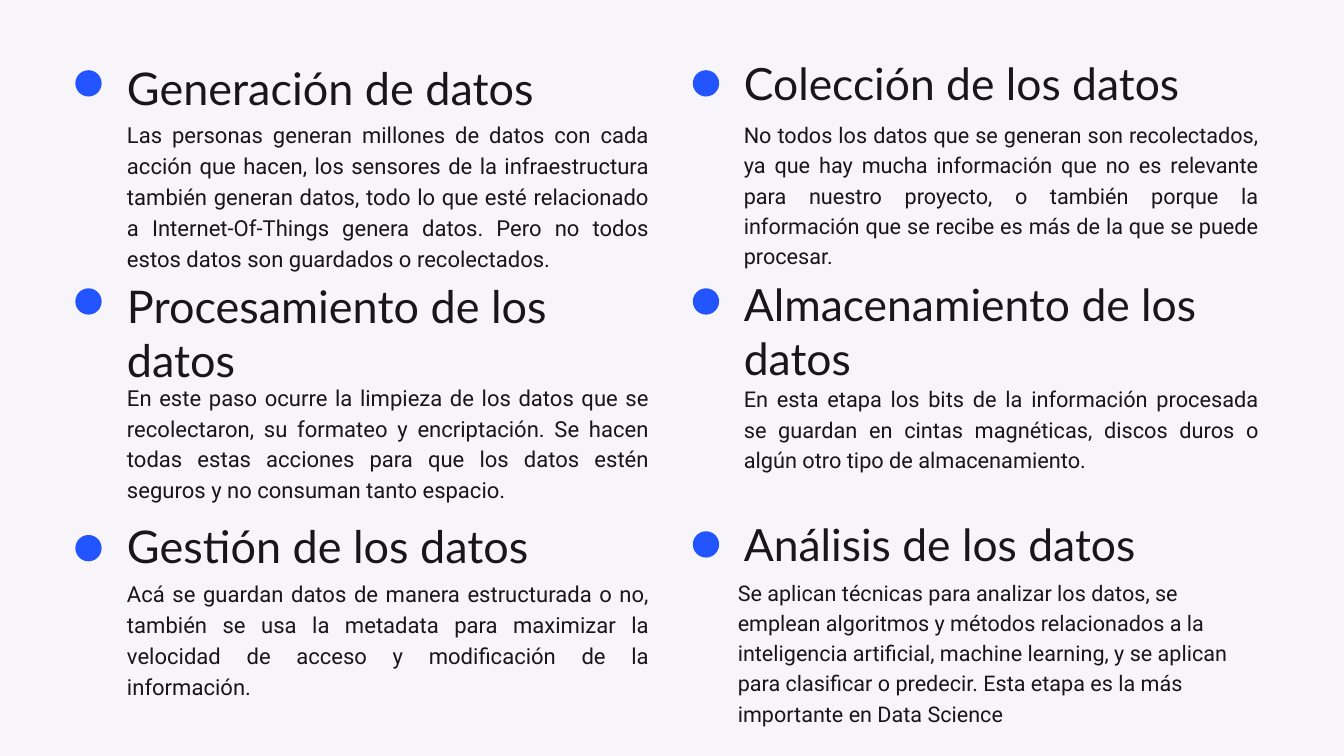
from dataclasses import dataclass

import pptx
import pptx.dml.color
import pptx.enum.shapes
import pptx.enum.text
import pptx.util

Pt = pptx.util.Pt
ALIGN = pptx.enum.text.PP_ALIGN

BACKGROUND = "F7F4FA"
INK = "17161C"
BLUE = "2255FF"
DOT_SIZE = 28.2


@dataclass
class Style:
    font: str
    size: float
    leading: float
    align: ALIGN = ALIGN.LEFT


@dataclass
class Column:
    dot_left: float
    text_left: float
    heading_width: float
    body_width: float
    heading_style: Style


@dataclass
class Stage:
    """One step of the data cycle; tops and heights in points."""
    column: Column
    dot_top: float
    heading_top: float
    heading_height: float
    body_top: float
    body_height: float
    body_style: Style
    heading: str
    body: str
    body_shift: float = 0


LEFT = Column(80.7, 136.1, 545, 559.4, Style("Lato", 48.2, 57.8))
RIGHT = Column(742.3, 797, 538.6, 551.5, Style("Lato", 47.6, 57.1))


def body_style(size: float, leading: float, align: ALIGN = ALIGN.JUSTIFY) -> Style:
    return Style("Roboto", size, leading, align)


STAGES = [
    Stage(LEFT, 75.2, 64.8, 57.6, 126, 162.7, body_style(23.6, 33),
          "Generación de datos",
          "Las personas generan millones de datos con cada acción que hacen, los sensores "
          "de la infraestructura también generan datos, todo lo que esté relacionado a "
          "Internet-Of-Things genera datos. Pero no todos estos datos son guardados o "
          "recolectados."),
    Stage(LEFT, 308.9, 298.1, 115.2, 406.8, 130.3, body_style(23.6, 33.1),
          "Procesamiento de los datos",
          "En este paso ocurre la limpieza de los datos que se recolectaron, su formateo y "
          "encriptación. Se hacen todas estas acciones para que los datos estén seguros y "
          "no consuman tanto espacio."),
    Stage(LEFT, 573.2, 555.8, 57.6, 617.8, 162.7, body_style(23.6, 33),
          "Gestión de los datos",
          "Acá se guardan datos de manera estructurada o no, también se usa la metadata "
          "para maximizar la velocidad de acceso y modificación de la información."),
    Stage(RIGHT, 75.2, 60.5, 57.6, 126, 159.8, body_style(23.2, 32.5),
          "Colección de los datos",
          "No todos los datos que se generan son recolectados, ya que hay mucha información "
          "que no es relevante para nuestro proyecto, o también porque la información que "
          "se recibe es más de la que se puede procesar."),
    Stage(RIGHT, 308.9, 297.4, 114.5, 409, 95.8, body_style(23.3, 32.6),
          "Almacenamiento de los datos",
          "En esta etapa los bits de la información procesada se guardan en cintas "
          "magnéticas, discos duros o algún otro tipo de almacenamiento."),
    Stage(RIGHT, 569.2, 554.4, 57.6, 616.3, 159.1, body_style(23.1, 32.4, ALIGN.LEFT),
          "Análisis de los datos",
          "Se aplican técnicas para analizar los datos, se emplean algoritmos y métodos "
          "relacionados a la inteligencia artificial, machine learning, y se aplican para "
          "clasificar o predecir. Esta etapa es la más importante en Data Science",
          body_shift=-6.5),
]


def rgb(color: str) -> pptx.dml.color.RGBColor:
    return pptx.dml.color.RGBColor.from_string(color)


def add_text(slide, text: str, left: float, top: float, width: float, height: float,
             style: Style) -> None:
    sp = slide.shapes.add_textbox(Pt(left), Pt(top), Pt(width), Pt(height))
    tf = sp.text_frame
    tf.word_wrap = True
    tf.auto_size = pptx.enum.text.MSO_AUTO_SIZE.SHAPE_TO_FIT_TEXT
    tf.margin_left = tf.margin_top = tf.margin_right = tf.margin_bottom = 0
    p = tf.paragraphs[0]
    p.alignment = style.align
    p.line_spacing = Pt(style.leading)
    r = p.add_run()
    r.text = text
    r.font.name = style.font
    r.font.size = Pt(style.size)
    r.font.color.rgb = rgb(INK)


def add_dot(slide, left: float, top: float) -> None:
    sp = slide.shapes.add_shape(pptx.enum.shapes.MSO_SHAPE.OVAL, Pt(left), Pt(top),
                                Pt(DOT_SIZE), Pt(DOT_SIZE))
    sp.shadow.inherit = False
    sp.fill.solid()
    sp.fill.fore_color.rgb = rgb(BLUE)
    sp.line.fill.background()


def add_stage(slide, stage: Stage) -> None:
    col = stage.column
    add_text(slide, stage.heading, col.text_left, stage.heading_top,
             col.heading_width, stage.heading_height, col.heading_style)
    add_text(slide, stage.body, col.text_left + stage.body_shift, stage.body_top,
             col.body_width, stage.body_height, stage.body_style)
    add_dot(slide, col.dot_left, stage.dot_top)


def main() -> None:
    prs = pptx.Presentation()
    prs.slide_width, prs.slide_height = Pt(1440), Pt(810)
    slide = prs.slides.add_slide(prs.slide_layouts.get_by_name("Blank"))
    slide.background.fill.solid()
    slide.background.fill.fore_color.rgb = rgb(BACKGROUND)
    for stage in STAGES:
        add_stage(slide, stage)
    prs.save("out.pptx")


if __name__ == "__main__":
    main()
